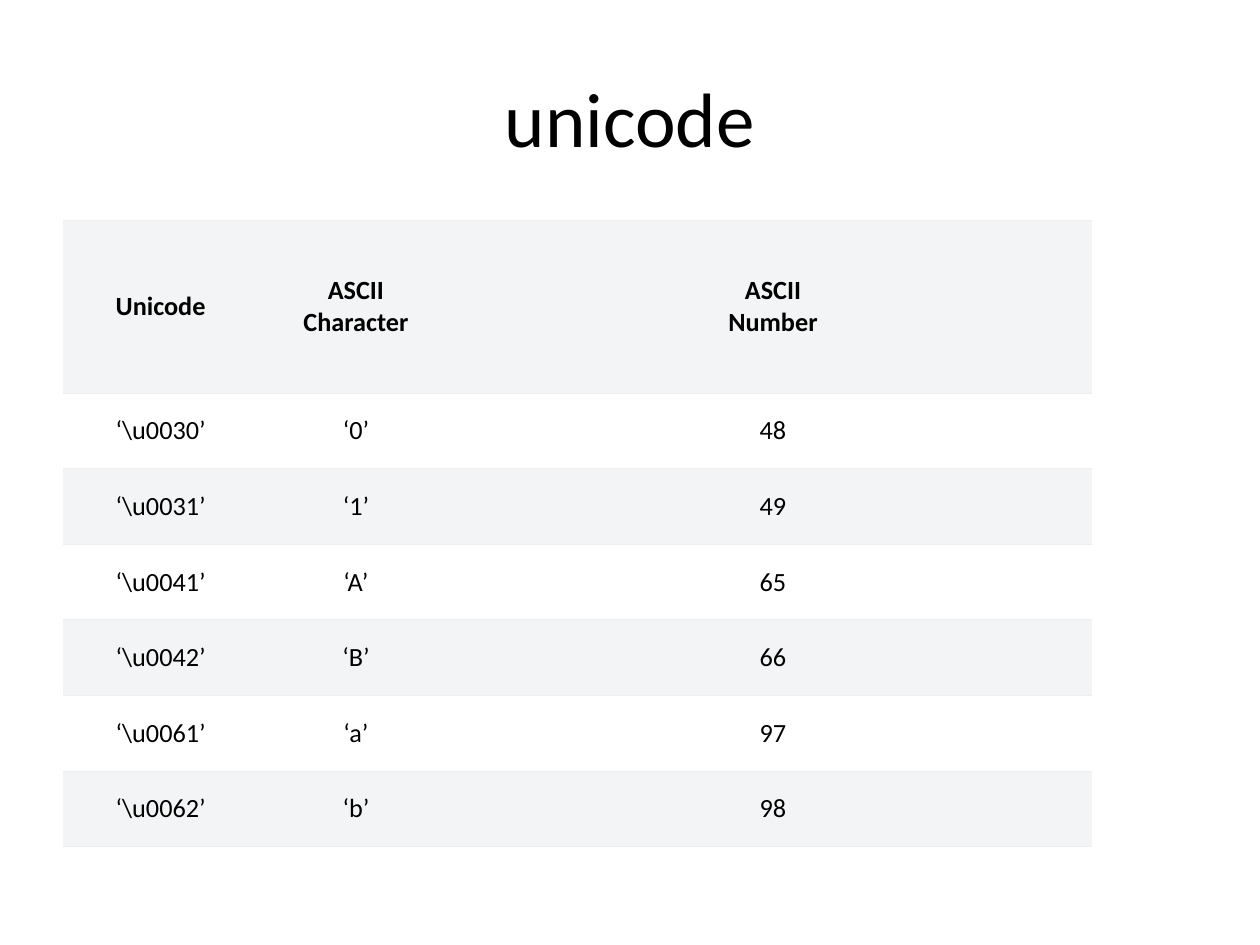
import dataclasses

import pptx
import pptx.dml.color
import pptx.enum.text
import pptx.oxml
import pptx.oxml.ns
import pptx.util
from pptx.util import Inches

FONT = "Calibri"
BLACK = "000000"
WHITE = "FFFFFF"
BAND = "F3F4F5"
RULE = "EEEEEE"
RULE_WIDTH = pptx.util.Pt(0.6)

COLUMN_WIDTHS = (1.55, 1.55, 5.07)
HEADER_HEIGHT = 1.37
ROW_HEIGHT = 0.6


@dataclasses.dataclass(frozen=True)
class Entry:
    unicode: str
    character: str
    number: str


HEADER = Entry("Unicode", "ASCII\nCharacter", "ASCII\nNumber")
ENTRIES = (
    Entry(r"‘\u0030’", "‘0’", "48"),
    Entry(r"‘\u0031’", "‘1’", "49"),
    Entry(r"‘\u0041’", "‘A’", "65"),
    Entry(r"‘\u0042’", "‘B’", "66"),
    Entry(r"‘\u0061’", "‘a’", "97"),
    Entry(r"‘\u0062’", "‘b’", "98"),
)


def set_color(target, value: str) -> None:
    """Give a fill or a font a solid colour."""
    if hasattr(target, "solid"):
        target.solid()
        target.fore_color.rgb = pptx.dml.color.RGBColor.from_string(value)
    else:
        target.color.rgb = pptx.dml.color.RGBColor.from_string(value)


def write(paragraph, text: str, size: float, bold: bool = False) -> None:
    paragraph.text = text
    paragraph.alignment = pptx.enum.text.PP_ALIGN.CENTER
    font = paragraph.font
    font.name, font.size, font.bold = FONT, pptx.util.Pt(size), bold
    set_color(font, BLACK)


def set_borders(cell) -> None:
    """Rule the cell above and below, and leave its sides open."""
    namespace = pptx.oxml.ns.nsdecls("a")
    ruled = f'<a:solidFill><a:srgbClr val="{RULE}"/></a:solidFill>'
    sides = {"lnL": "<a:noFill/>", "lnR": "<a:noFill/>", "lnT": ruled, "lnB": ruled}
    properties = cell._tc.get_or_add_tcPr()
    for position, (side, line) in enumerate(sides.items()):
        border = f'<a:{side} {namespace} w="{RULE_WIDTH}">{line}</a:{side}>'
        properties.insert(position, pptx.oxml.parse_xml(border))


def fill_cell(cell, text: str, color: str, bold: bool) -> None:
    cell.margin_left = cell.margin_right = Inches(0.09)
    cell.margin_top = cell.margin_bottom = Inches(0.04)
    cell.vertical_anchor = pptx.enum.text.MSO_ANCHOR.MIDDLE
    set_color(cell.fill, color)
    set_borders(cell)
    write(cell.text_frame.paragraphs[0], text, 15, bold)


def add_title(page, text: str) -> None:
    title = page.shapes.title
    title.left, title.top = Inches(0.5), Inches(0.3)
    title.width, title.height = Inches(9), Inches(1.25)
    title.text_frame.vertical_anchor = pptx.enum.text.MSO_ANCHOR.MIDDLE
    write(title.text_frame.paragraphs[0], text, 44)


def add_code_table(page, entries: tuple[Entry, ...]) -> None:
    heights = [HEADER_HEIGHT] + [ROW_HEIGHT] * (len(entries) - 1)
    table = page.shapes.add_table(
        len(entries), len(COLUMN_WIDTHS), Inches(0.5), Inches(1.75),
        Inches(sum(COLUMN_WIDTHS)), Inches(sum(heights)),
    ).table
    table.first_row = table.horz_banding = False
    for column, width in zip(table.columns, COLUMN_WIDTHS):
        column.width = Inches(width)
    for index, (row, entry) in enumerate(zip(table.rows, entries)):
        row.height = Inches(heights[index])
        color = WHITE if index % 2 else BAND
        for cell, text in zip(row.cells, dataclasses.astuple(entry)):
            fill_cell(cell, text, color, bold=index == 0)


def main() -> None:
    deck = pptx.Presentation()
    deck.slide_width, deck.slide_height = Inches(10), Inches(7.5)
    page = deck.slides.add_slide(deck.slide_layouts.get_by_name("Title Only"))
    set_color(page.background.fill, WHITE)

    # Heading and character codes
    add_title(page, "unicode")
    add_code_table(page, (HEADER,) + ENTRIES)

    deck.save("out.pptx")


if __name__ == "__main__":
    main()
